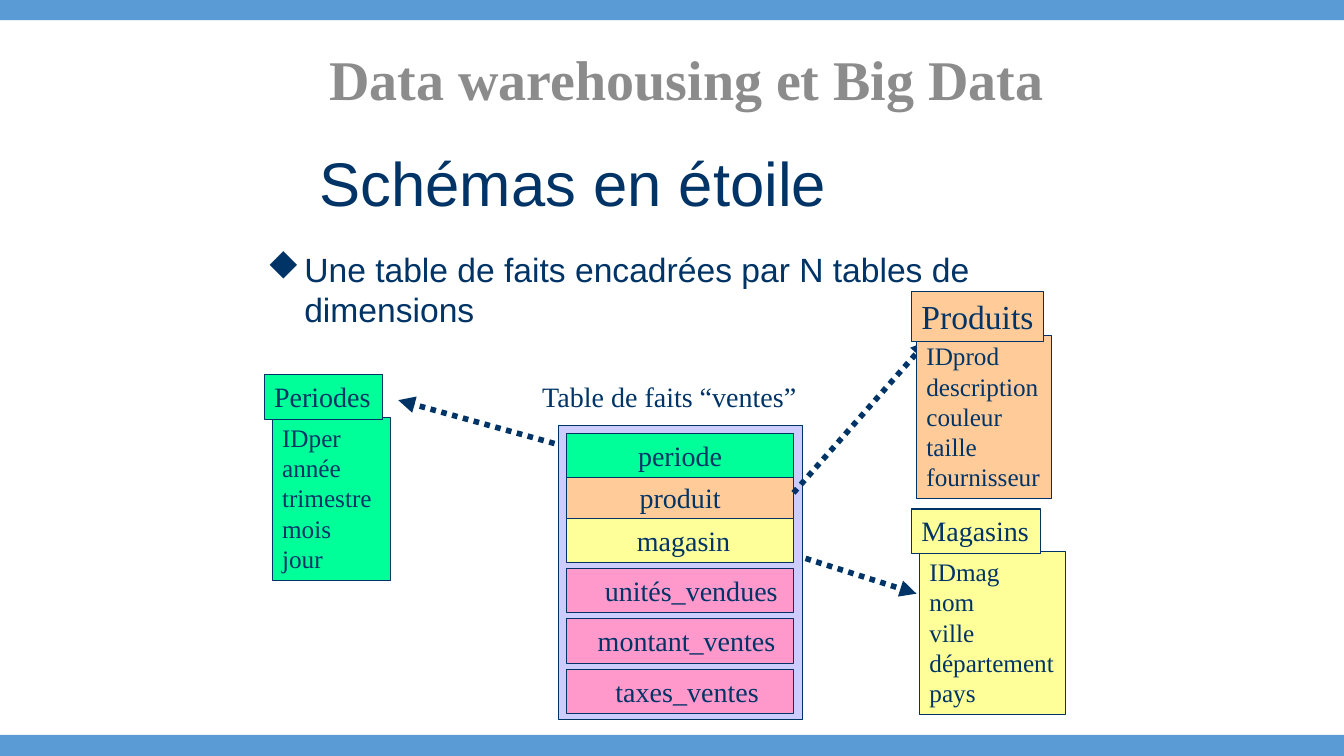
from lxml.etree import SubElement
from pptx import Presentation
from pptx.dml.color import RGBColor
from pptx.enum.dml import MSO_LINE
from pptx.enum.shapes import MSO_CONNECTOR, MSO_SHAPE
from pptx.enum.text import MSO_ANCHOR, MSO_AUTO_SIZE, PP_ALIGN
from pptx.oxml.ns import qn
from pptx.util import Inches, Pt

THEME = {
    "navy": "003366", "grey": "8C8C8C", "band": "5B9BD5", "frame": "CCCCFF",
    "green": "00FF99", "orange": "FFCC99", "yellow": "FFFF99", "pink": "FF99CC",
    "serif": "Times New Roman", "sans": "Arial", "symbol": "Wingdings",
    "header": 40, "title": 44, "body": 24, "label": 20, "field": 18,
}
HEADER = "Data warehousing et Big Data"
TITLE = "Schémas en étoile"
BULLET = "Une table de faits encadrées par N tables de dimensions"
DIAMOND = "u"  # the solid diamond of the symbol font
FACT_CAPTION = "Table de faits “ventes”"

# label, colour, alignment, left indent
KEYS = [
    ("periode", "green", PP_ALIGN.CENTER, 0),
    ("produit", "orange", PP_ALIGN.CENTER, 0),
    ("magasin", "yellow", PP_ALIGN.CENTER, 0.07),
]
MEASURES = [
    ("unités_vendues", "pink", PP_ALIGN.LEFT, 0.28),
    ("montant_ventes", "pink", PP_ALIGN.LEFT, 0.21),
    ("taxes_ventes", "pink", PP_ALIGN.CENTER, 0.14),
]
DIMENSIONS = [
    {"name": "Periodes", "colour": "green", "size": "label", "wrap": True,
     "header": (2.62, 3.72, 1.17, 0.44), "body": (2.7, 4.14, 1.17, 1.62),
     "fields": ["IDper", "année", "trimestre", "mois", "jour"]},
    {"name": "Magasins", "colour": "yellow", "size": "label", "wrap": False,
     "header": (9.04, 5.05, 1.28, 0.44), "body": (9.12, 5.47, 1.45, 1.62),
     "fields": ["IDmag", "nom", "ville", "département", "pays"]},
    {"name": "Produits", "colour": "orange", "size": "body", "wrap": False,
     "header": (9.04, 2.89, 1.31, 0.5), "body": (9.09, 3.33, 1.34, 1.62),
     "fields": ["IDprod", "description", "couleur", "taille", "fournisseur"]},
]
ARROWS = [
    ((5.5, 4.4), (3.95, 3.97)),
    ((7.99, 5.54), (9.09, 5.89)),
    ((7.87, 4.89), (9.2, 3.38)),
]
SLIDE_WIDTH, SLIDE_HEIGHT = 13.33, 7.5
BAND_HEIGHT, BAND_TOPS = 0.23, (-0.03, 7.29)
ROW_LEFT, ROW_WIDTH, ROW_HEIGHT = 5.62, 2.25, 0.44
KEYS_TOP, KEY_STEP = 4.3, 0.42
MEASURES_TOP, MEASURE_STEP = 5.64, 0.5


def colour(name):
    return RGBColor.from_string(THEME[name])


def inches(values):
    return [Inches(value) for value in values]


def set_format(target, values):
    for name, value in values.items():
        setattr(target, name, value)


def write(shape, lines, size, font="serif", ink="navy", bold=False, indent=0,
          align=PP_ALIGN.LEFT, spacing=None, **frame_format):
    """Fill a shape with one paragraph per line."""
    frame = shape.text_frame
    set_format(frame, {"word_wrap": True, "vertical_anchor": MSO_ANCHOR.TOP, **frame_format})
    frame.text = "\n".join(lines)
    for paragraph in frame.paragraphs:
        set_format(paragraph, {"alignment": align, "line_spacing": spacing})
        if indent:
            paragraph._p.get_or_add_pPr().set("marL", str(Inches(indent)))
        set_format(paragraph.font, {"size": Pt(THEME[size]), "name": THEME[font], "bold": bold})
        paragraph.font.color.rgb = colour(ink)
    return frame


def add_text(slide, box, lines, size, **text_format):
    return write(slide.shapes.add_textbox(*inches(box)), lines, size, **text_format)


def add_box(slide, box, fill, line_width=0.75):
    shape = slide.shapes.add_shape(MSO_SHAPE.RECTANGLE, *inches(box))
    shape.shadow.inherit = False
    shape.fill.solid()
    shape.fill.fore_color.rgb = colour(fill)
    if line_width:
        shape.line.color.rgb = colour("navy")
        shape.line.width = Pt(line_width)
    else:
        shape.line.fill.background()
    return shape


def add_label(slide, box, fill, lines, size, **text_format):
    write(add_box(slide, box, fill), lines, size,
          auto_size=MSO_AUTO_SIZE.SHAPE_TO_FIT_TEXT, **text_format)


def add_arrow(slide, start, end):
    arrow = slide.shapes.add_connector(MSO_CONNECTOR.STRAIGHT, *inches(start + end))
    arrow.line.color.rgb = colour("navy")
    set_format(arrow.line, {"width": Pt(4), "dash_style": MSO_LINE.ROUND_DOT})
    SubElement(arrow.line._ln, qn("a:tailEnd"), type="triangle")
    SubElement(arrow._element.spPr, qn("a:effectLst"))


def add_diamond_bullet(paragraph, hang):
    properties = paragraph._p.get_or_add_pPr()
    properties.set("marL", str(Inches(hang)))
    properties.set("indent", str(-Inches(hang)))
    bullet_colour = SubElement(properties, qn("a:buClr"))
    SubElement(bullet_colour, qn("a:srgbClr"), val=THEME["navy"])
    SubElement(properties, qn("a:buFont"), typeface=THEME["symbol"], pitchFamily="2", charset="2")
    SubElement(properties, qn("a:buChar"), char=DIAMOND)


def add_headings(slide):
    add_text(slide, (3.07, 1.49, 8.07, 0.74), [TITLE], "title", font="sans",
             spacing=0.85, vertical_anchor=MSO_ANCHOR.MIDDLE)
    frame = add_text(slide, (2.55, 2.42, 8.7, 4.7), [], "body", font="sans")
    paragraph = frame.paragraphs[0]
    add_diamond_bullet(paragraph, 0.37)
    run = paragraph.add_run()
    run.text = BULLET
    set_format(run.font, {"size": Pt(THEME["body"]), "name": THEME["sans"]})
    run.font.color.rgb = colour("navy")
    add_text(slide, (0.48, 0.33, 12.66, 0.89), [HEADER], "header", ink="grey", bold=True,
             align=PP_ALIGN.CENTER, vertical_anchor=MSO_ANCHOR.MIDDLE)


def add_fact_table(slide):
    """Draw the fact rows, with the outer rows of each group over the middle one."""
    add_text(slide, (5.28, 3.72, 2.74, 0.44), [FACT_CAPTION], "label", word_wrap=False)
    groups = [(KEYS, KEYS_TOP, KEY_STEP), (MEASURES, MEASURES_TOP, MEASURE_STEP)]
    for rows, top, step in groups:
        for index in (1, 2, 0):
            label, fill, align, indent = rows[index]
            box = (ROW_LEFT, top + index * step, ROW_WIDTH, ROW_HEIGHT)
            add_label(slide, box, fill, [label], "label", align=align, indent=indent)


def add_dimension(slide, dimension):
    fill, wrap = dimension["colour"], dimension["wrap"]
    add_label(slide, dimension["body"], fill, dimension["fields"], "field", word_wrap=wrap)
    add_label(slide, dimension["header"], fill, [dimension["name"]], dimension["size"],
              word_wrap=wrap)


def main():
    presentation = Presentation()
    set_format(presentation, {"slide_width": Inches(SLIDE_WIDTH),
                              "slide_height": Inches(SLIDE_HEIGHT)})
    slide = presentation.slides.add_slide(presentation.slide_layouts[6])
    add_box(slide, (5.54, 4.22, 2.42, 2.92), "frame", line_width=1)
    add_headings(slide)
    add_fact_table(slide)
    for start, end in ARROWS:
        add_arrow(slide, start, end)
    for dimension in DIMENSIONS:
        add_dimension(slide, dimension)
    for top in BAND_TOPS:
        add_box(slide, (0, top, SLIDE_WIDTH, BAND_HEIGHT), "band", line_width=0)
    presentation.save("out.pptx")


if __name__ == "__main__":
    main()
